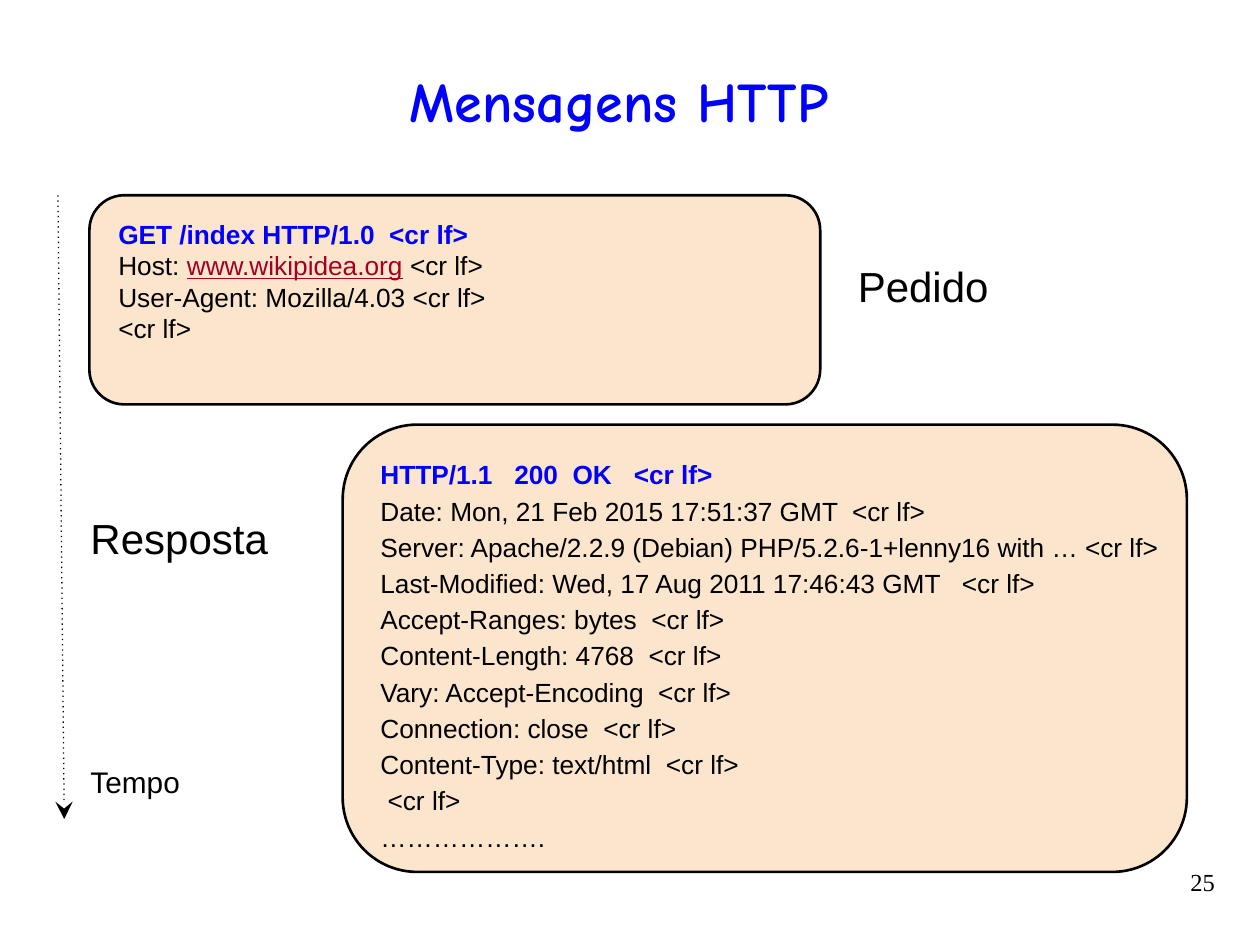
from lxml import etree
from pptx import Presentation
from pptx.dml.color import RGBColor
from pptx.enum.shapes import MSO_CONNECTOR, MSO_SHAPE
from pptx.enum.text import MSO_ANCHOR, PP_ALIGN
from pptx.oxml.ns import qn
from pptx.util import Inches, Pt

BLACK = RGBColor(0x00, 0x00, 0x00)
BLUE = RGBColor(0x00, 0x00, 0xFF)
RED = RGBColor(0xA5, 0x00, 0x21)
PEACH = RGBColor(0xFC, 0xE5, 0xCD)

REQUEST = [
    "GET /index HTTP/1.0  <cr lf>",
    "Host: www.wikipidea.org <cr lf>",
    "User-Agent: Mozilla/4.03 <cr lf>",
    "<cr lf>",
]
RESPONSE = [
    "HTTP/1.1   200  OK   <cr lf>",
    "Date: Mon, 21 Feb 2015 17:51:37 GMT  <cr lf>",
    "Server: Apache/2.2.9 (Debian) PHP/5.2.6-1+lenny16 with … <cr lf>",
    "Last-Modified: Wed, 17 Aug 2011 17:46:43 GMT   <cr lf>",
    "Accept-Ranges: bytes  <cr lf>",
    "Content-Length: 4768  <cr lf>",
    "Vary: Accept-Encoding  <cr lf>",
    "Connection: close  <cr lf>",
    "Content-Type: text/html  <cr lf>",
    " <cr lf>",
    "……………….",
]
HOST_ADDRESS = "www.wikipidea.org"


def set_font(font, size, color=BLACK, name="Arial", bold=False):
    font.size = Pt(size)
    font.name = name
    font.bold = bold
    font.color.rgb = color


def add_text_frame(slide, left, top, width, height, vertical_inset=0.1):
    box = slide.shapes.add_textbox(Inches(left), Inches(top), Inches(width), Inches(height))
    frame = box.text_frame
    frame.word_wrap = True
    frame.margin_left = frame.margin_right = Inches(0.1)
    frame.margin_top = frame.margin_bottom = Inches(vertical_inset)
    return frame


def add_label(slide, text, bounds, size, **font_options):
    frame = add_text_frame(slide, *bounds)
    paragraph = frame.paragraphs[0]
    paragraph.text = text
    set_font(paragraph.font, size, **font_options)
    return frame


def add_panel(slide, left, top, width, height):
    shape = slide.shapes.add_shape(
        MSO_SHAPE.FLOWCHART_ALTERNATE_PROCESS,
        Inches(left), Inches(top), Inches(width), Inches(height),
    )
    shape.shadow.inherit = False
    shape.fill.solid()
    shape.fill.fore_color.rgb = PEACH
    shape.line.color.rgb = BLACK
    shape.line.width = Pt(1.5)


def add_line_text(paragraph, text):
    before, address, after = text.partition(HOST_ADDRESS)
    for part in filter(None, (before, address, after)):
        run = paragraph.add_run()
        run.text = part
        if part == HOST_ADDRESS:
            run.font.underline = True
            run.font.color.rgb = RED


def add_message(slide, lines, bounds, spacing=1.0):
    frame = add_text_frame(slide, *bounds)
    for index, text in enumerate(lines):
        first = index == 0
        paragraph = frame.paragraphs[0] if first else frame.add_paragraph()
        add_line_text(paragraph, text)
        paragraph.line_spacing = 1.0 if first else spacing
        set_font(paragraph.font, 15, BLUE if first else BLACK, bold=first)


def add_time_arrow(slide):
    arrow = slide.shapes.add_connector(
        MSO_CONNECTOR.STRAIGHT, Inches(0.46), Inches(1.55), Inches(0.51), Inches(6.5)
    )
    arrow.line.color.rgb = BLACK
    arrow.line.width = Pt(0.75)
    line = arrow.line._get_or_add_ln()
    etree.SubElement(line, qn("a:prstDash"), val="dot")
    etree.SubElement(line, qn("a:tailEnd"), type="stealth", w="lg", len="lg")
    etree.SubElement(arrow._element.spPr, qn("a:effectLst"))


def main():
    presentation = Presentation()
    presentation.slide_width = Inches(10)
    presentation.slide_height = Inches(7.5)
    slide = presentation.slides.add_slide(presentation.slide_layouts[6])

    number = add_label(slide, "25", (8.74, 6.83, 1, 0.42, 0.05), 14, name="Times New Roman")
    number.paragraphs[0].alignment = PP_ALIGN.RIGHT
    title = add_label(
        slide, "Mensagens HTTP", (0.33, 0.42, 9.17, 0.75, 0.05), 32,
        color=BLUE, name="Comic Neue", bold=True,
    )
    title.vertical_anchor = MSO_ANCHOR.MIDDLE
    title.paragraphs[0].alignment = PP_ALIGN.CENTER

    add_panel(slide, 2.72, 3.37, 6.7, 3.55)
    add_panel(slide, 0.71, 1.55, 5.8, 1.66)
    add_message(slide, REQUEST, (0.84, 1.63, 5.49, 1.58))
    add_message(slide, RESPONSE, (2.92, 3.54, 6.58, 3.45), spacing=1.15)

    add_label(slide, "Pedido", (6.71, 1.97, 2.46, 0.6), 24)
    add_label(slide, "Resposta", (0.62, 3.97, 2.1, 1.02), 24)
    add_label(slide, "Tempo", (0.62, 5.96, 1.23, 0.42), 17)
    add_time_arrow(slide)

    presentation.save("out.pptx")


if __name__ == "__main__":
    main()
